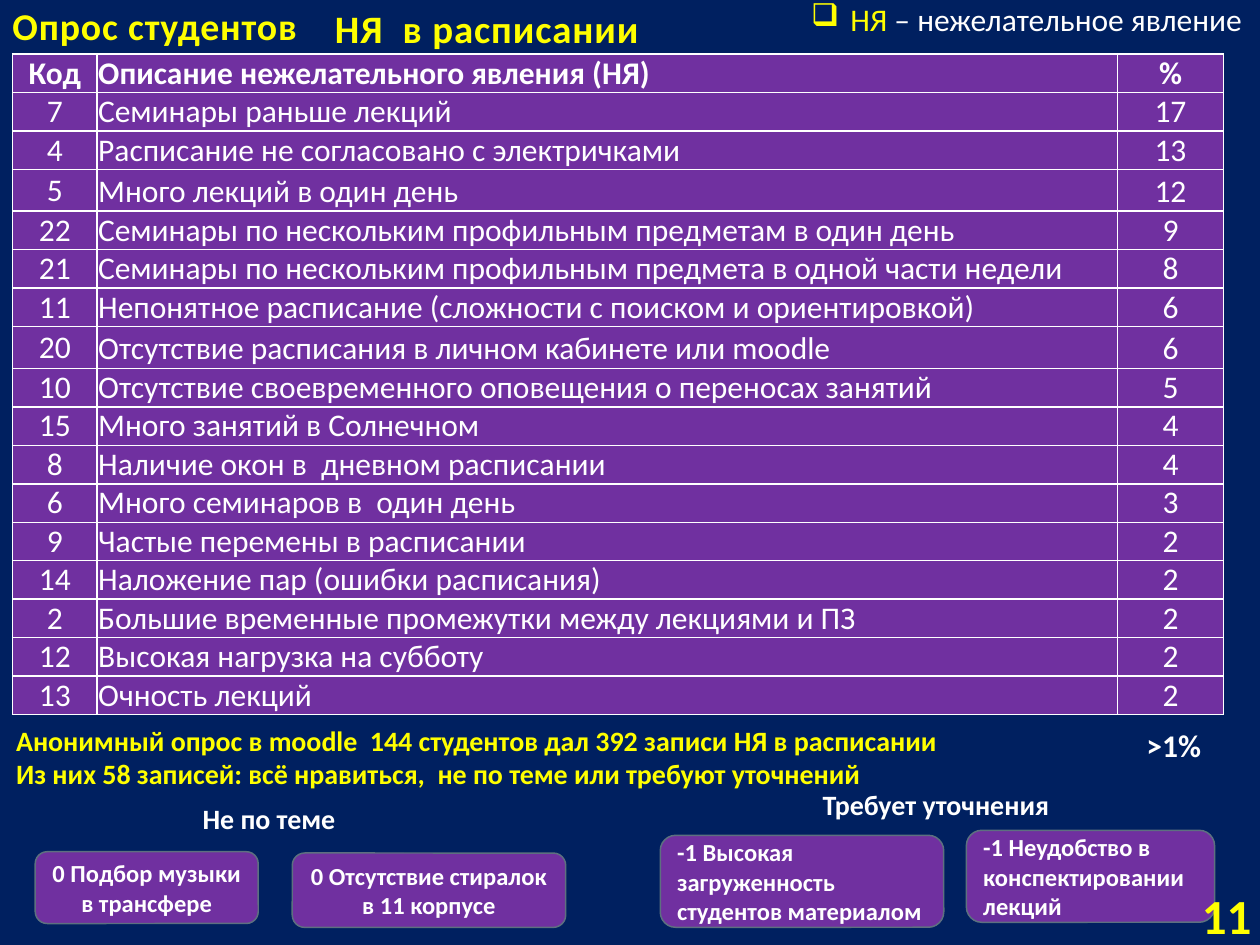
"""Build the slide that ranks students' complaints about the timetable."""
from dataclasses import dataclass

from lxml import etree
from pptx import Presentation
from pptx.dml.color import RGBColor
from pptx.enum import shapes, text
from pptx.oxml import ns
from pptx.util import Inches, Pt

HUES = {"navy": "002060", "plum": "7030A0", "gold": "FFFF00",
        "white": "FFFFFF", "slate": "5D7080"}
LEFT, MID, RIGHT, FULL = (text.PP_ALIGN.LEFT, text.PP_ALIGN.CENTER,
                          text.PP_ALIGN.RIGHT, text.PP_ALIGN.JUSTIFY)
TOP, CORE, BASE = (text.MSO_ANCHOR.TOP, text.MSO_ANCHOR.MIDDLE,
                   text.MSO_ANCHOR.BOTTOM)


@dataclass
class Label:
    """A line or block of free text."""
    box: tuple[float, float, float, float]
    words: str
    size: float = 16
    hue: str = "white"
    align: int = LEFT
    anchor: int = TOP
    space: int = 0


@dataclass
class Card:
    """A rounded box with one remark."""
    box: tuple[float, float, float, float]
    words: str
    align: int = MID


LABELS = [
    Label((0, 0.03, 2.72, 0.35), "Опрос студентов", 21.6, "gold", anchor=CORE, space=50),
    Label((2.56, 0, 2.81, 0.45), "НЯ  в расписании", 22.2, "gold", anchor=CORE, space=50),
    Label((1.51, 6.31, 1.44, 0.37), "Не по теме"),
    Label((6.43, 6.2, 2.12, 0.37), "Требует уточнения"),
    Label((0.03, 5.69, 8.04, 0.64),
          "Анонимный опрос в moodle  144 студентов дал 392 записи НЯ в расписании\n"
          "Из них 58 записей: всё нравиться,  не по теме или требуют уточнений", hue="gold"),
    Label((8.99, 5.71, 0.65, 0.4), ">1%", 18, align=MID),
    Label((9.08, 7.06, 0.95, 0.4), "11", 28, "gold", RIGHT, CORE),
]
CARDS = [
    Card((0.28, 6.76, 1.77, 0.57), "0 Подбор музыки в трансфере"),
    Card((2.32, 6.77, 2.17, 0.59), "0 Отсутствие стиралок в 11 корпусе"),
    Card((5.24, 6.63, 2.25, 0.73), "-1 Высокая загруженность студентов материалом", LEFT),
    Card((7.67, 6.59, 1.97, 0.73), "-1 Неудобство в конспектировании лекций", LEFT),
]
ROWS = [
    ("Код", "Описание нежелательного явления (НЯ)", "%"),
    ("7", "Семинары раньше лекций", "17"),
    ("4", "Расписание не согласовано с электричками", "13"),
    ("5", "Много лекций в один день", "12"),
    ("22", "Семинары по нескольким профильным предметам в один день", "9"),
    ("21", "Семинары по нескольким профильным предмета в одной части недели", "8"),
    ("11", "Непонятное расписание (сложности с поиском и ориентировкой)", "6"),
    ("20", "Отсутствие расписания в личном кабинете или moodle", "6"),
    ("10", "Отсутствие своевременного оповещения о переносах занятий", "5"),
    ("15", "Много занятий в Солнечном", "4"),
    ("8", "Наличие окон в  дневном расписании", "4"),
    ("6", "Много семинаров в  один день", "3"),
    ("9", "Частые перемены в расписании", "2"),
    ("14", "Наложение пар (ошибки расписания)", "2"),
    ("2", "Большие временные промежутки между лекциями и ПЗ", "2"),
    ("12", "Высокая нагрузка на субботу", "2"),
    ("13", "Очность лекций", "2"),
]
WIDTHS = (0.67, 8.1, 0.84)
TALL = {3, 7}


def tint(name: str) -> RGBColor:
    """Look up a colour."""
    return RGBColor.from_string(HUES[name])


def write(frame, words: str, *, size: float = 18, hue: str = "white", bold: bool = True,
          align: int = LEFT, space: int = 0) -> None:
    """Fill a text frame, one paragraph for each line."""
    for i, line in enumerate(words.split("\n")):
        para = frame.add_paragraph() if i else frame.paragraphs[0]
        para.alignment = align
        add_run(para, line, size, hue, bold, space)


def add_run(para, words: str, size: float, hue: str, bold: bool, space: int = 0) -> None:
    """Append one formatted run."""
    run = para.add_run()
    run.text = words
    font = run.font
    font.name, font.size, font.bold = "Calibri", Pt(size), bold
    font.color.rgb = tint(hue)
    if space:
        run.font._element.set("spc", str(space))


def add_box(slide, box: tuple, anchor: int = TOP):
    """Add a wrapping text box and return its frame."""
    frame = slide.shapes.add_textbox(*map(Inches, box)).text_frame
    frame.word_wrap, frame.vertical_anchor = True, anchor
    return frame


def draw_label(slide, label: Label) -> None:
    """Draw free text."""
    write(add_box(slide, label.box, label.anchor), label.words, size=label.size,
          hue=label.hue, align=label.align, space=label.space)


def draw_card(slide, card: Card) -> None:
    """Draw a rounded remark."""
    shape = slide.shapes.add_shape(shapes.MSO_SHAPE.ROUNDED_RECTANGLE,
                                   *map(Inches, card.box))
    shape.shadow.inherit = False
    shape.fill.solid()
    shape.fill.fore_color.rgb = tint("plum")
    shape.line.color.rgb = tint("slate")
    shape.line.width = Pt(0.85)
    shape.text_frame.word_wrap = True
    shape.text_frame.vertical_anchor = CORE
    write(shape.text_frame, card.words, size=14, align=card.align)


def draw_key(slide) -> None:
    """Draw the bulleted note that explains the short form."""
    para = add_box(slide, (6.34, -0.05, 3.86, 0.4)).paragraphs[0]
    props = para._p.get_or_add_pPr()
    props.set("marL", str(Inches(0.31)))
    props.set("indent", str(Inches(-0.31)))
    etree.SubElement(props, ns.qn("a:buChar")).set("char", "❑")
    add_run(para, "НЯ", 18, "gold", False)
    add_run(para, " – нежелательное явление", 18, "white", False)


def edge(cell) -> None:
    """Give a cell thin white borders, placed ahead of its fill."""
    props = cell._tc.get_or_add_tcPr()
    for i, side in enumerate(("lnL", "lnR", "lnT", "lnB")):
        line = etree.Element(ns.qn(f"a:{side}"), w=str(Pt(1)))
        fill = etree.SubElement(line, ns.qn("a:solidFill"))
        etree.SubElement(fill, ns.qn("a:srgbClr")).set("val", HUES["white"])
        props.insert(i, line)


def draw_table(slide) -> None:
    """Draw the ranked complaints."""
    table = slide.shapes.add_table(len(ROWS), len(WIDTHS), Inches(0.1), Inches(0.43),
                                   Inches(9.6), Inches(5.01)).table
    table.first_row = table.horz_banding = False
    for col, width in zip(table.columns, WIDTHS):
        col.width = Inches(width)
    for r, row in enumerate(ROWS):
        table.rows[r].height = Inches(0.33 if r in TALL else 0.29)
        for c, words in enumerate(row):
            cell = table.cell(r, c)
            cell.margin_left = cell.margin_right = Inches(0.01)
            cell.margin_top = cell.margin_bottom = 0
            cell.vertical_anchor = BASE if c else CORE
            cell.fill.solid()
            cell.fill.fore_color.rgb = tint("plum")
            edge(cell)
            align = MID if c != 1 else LEFT if r else FULL
            write(cell.text_frame, words, bold=r == 0, align=align)


def main() -> None:
    """Build and save the slide."""
    deck = Presentation()
    deck.slide_width, deck.slide_height = Inches(10), Inches(7.5)
    slide = deck.slides.add_slide(deck.slide_layouts[6])
    slide.background.fill.solid()
    slide.background.fill.fore_color.rgb = tint("navy")
    for card in CARDS:
        draw_card(slide, card)
    draw_table(slide)
    for label in LABELS:
        draw_label(slide, label)
    draw_key(slide)
    deck.save("out.pptx")


if __name__ == "__main__":
    main()
